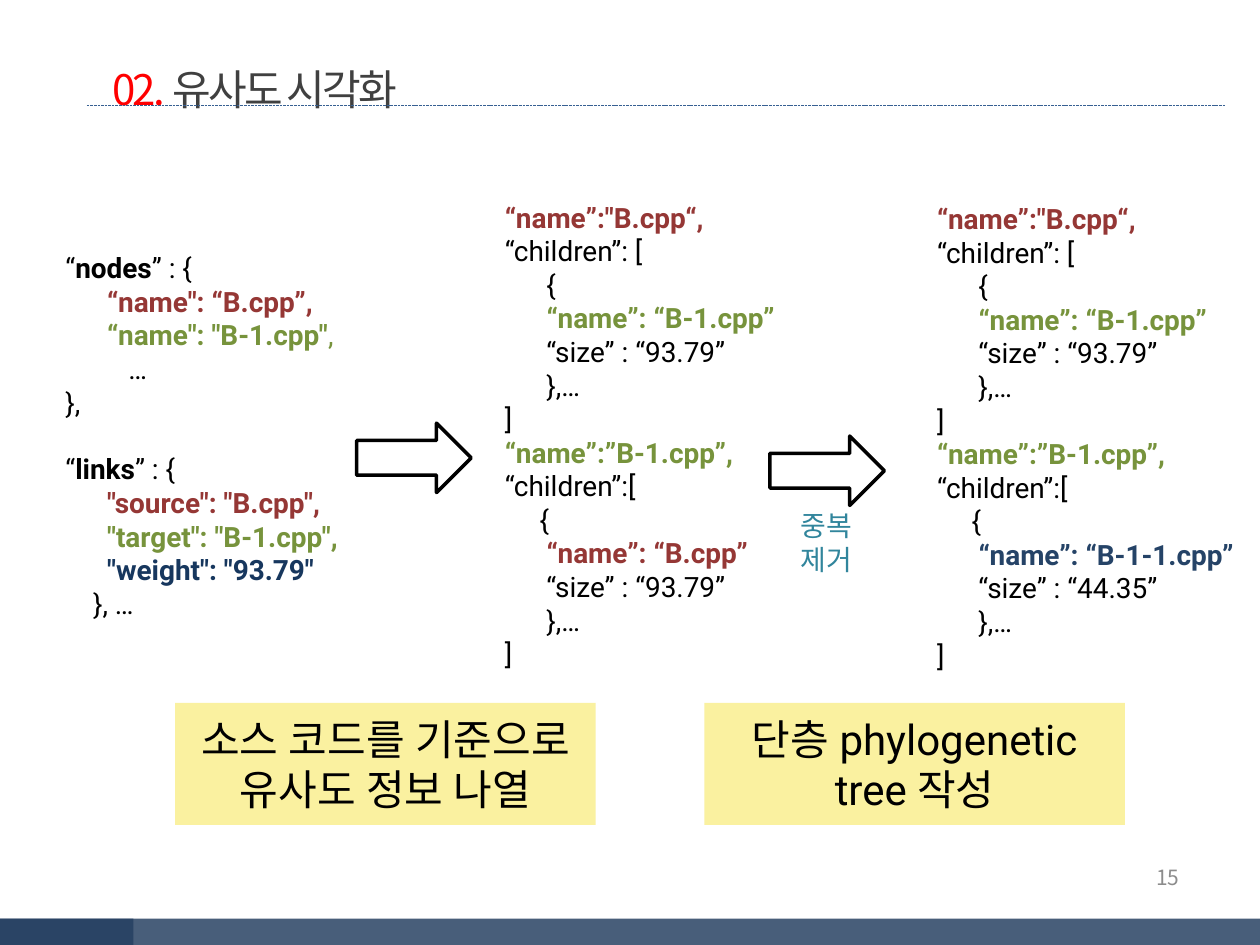
from dataclasses import dataclass

from lxml import etree
from pptx import Presentation
from pptx.dml.color import RGBColor
from pptx.enum import dml, shapes, text
from pptx.oxml import ns
from pptx.util import Cm, Pt

BLACK, RED, GREEN = "000000", "953735", "77933C"
NAVY, NODE_BLUE, TEAL = "17375E", "254367", "31859C"
BAR, YELLOW = "254061", "FAF1A0"
SANS, KOREAN = "Roboto", "Noto Sans CJK KR"


@dataclass(frozen=True)
class Span:
    text: str
    color: str = BLACK
    bold: bool = False


@dataclass(frozen=True)
class Line:
    spans: tuple[Span, ...]
    before: float = 0


@dataclass(frozen=True)
class Area:
    left: float
    top: float
    width: float
    height: float

    def lengths(self) -> tuple[Cm, Cm, Cm, Cm]:
        return Cm(self.left), Cm(self.top), Cm(self.width), Cm(self.height)


def rgb(value: str) -> RGBColor:
    return RGBColor.from_string(value)


def line(content: str, color: str = BLACK, bold: bool = False) -> Line:
    return Line((Span(content, color, bold),))


def write(frame, lines: list[Line], *, size: float = 16, font: str = SANS,
          align=text.PP_ALIGN.LEFT, anchor=text.MSO_ANCHOR.TOP,
          wrap: bool = True, spacing: float = 1, tracking: int = 0) -> None:
    frame.auto_size = text.MSO_AUTO_SIZE.NONE
    frame.word_wrap = wrap
    frame.vertical_anchor = anchor
    for index, item in enumerate(lines):
        paragraph = frame.add_paragraph() if index else frame.paragraphs[0]
        paragraph.alignment = align
        paragraph.line_spacing = spacing
        paragraph.space_before = Pt(item.before)
        for span in item.spans:
            run = paragraph.add_run()
            run.text = span.text
            run.font.name = font
            run.font.size = Pt(size)
            run.font.bold = span.bold
            run.font.color.rgb = rgb(span.color)
            properties = run.font._element
            latin = properties.find(ns.qn("a:latin"))
            east_asian = etree.Element(ns.qn("a:ea"), typeface=font)
            latin.addnext(east_asian)
            if tracking:
                properties.set("spc", str(tracking))


def add_text(slide, area: Area, lines: list[Line], **style) -> None:
    write(slide.shapes.add_textbox(*area.lengths()).text_frame, lines, **style)


def add_block(slide, kind, area: Area, fill: str, alpha: int = 100,
              outline: str | None = None):
    block = slide.shapes.add_shape(kind, *area.lengths())
    block.shadow.inherit = False
    block.fill.solid()
    block.fill.fore_color.rgb = rgb(fill)
    if alpha < 100:
        color = block._element.spPr.find(".//" + ns.qn("a:srgbClr"))
        etree.SubElement(color, ns.qn("a:alpha"), val=str(alpha * 1000))
    if outline:
        block.line.color.rgb = rgb(outline)
        block.line.width = Pt(2)
    else:
        block.line.fill.background()
    return block


def add_caption(slide, area: Area, lines: list[Line]) -> None:
    frame = add_block(slide, shapes.MSO_SHAPE.RECTANGLE, area, YELLOW).text_frame
    frame.margin_left = frame.margin_right = Cm(0.41)
    frame.margin_top = frame.margin_bottom = Cm(0.2)
    write(frame, lines, size=24, align=text.PP_ALIGN.CENTER,
          anchor=text.MSO_ANCHOR.MIDDLE)


def add_rule(slide) -> None:
    rule = slide.shapes.add_connector(
        shapes.MSO_CONNECTOR.STRAIGHT, Cm(1.75), Cm(2.13), Cm(24.69), Cm(2.13))
    rule.line.color.rgb = rgb("376092")
    rule.line.width = Pt(0.5)
    rule.line.dash_style = dml.MSO_LINE.SQUARE_DOT
    etree.SubElement(rule._element.spPr, ns.qn("a:effectLst"))


def tree_node(heading: Line, bracket: str, brace: str, child: str,
              child_color: str, size: str) -> list[Line]:
    return [
        heading,
        line(f"“children”{bracket}"),
        line(brace),
        line(f"      “name”: “{child}”", child_color, True),
        line(f"      “size” : “{size}”"),
        line("      },…"),
        line("]"),
    ]


def tree(child: str, child_color: str, size: str) -> list[Line]:
    return (
        tree_node(line("“name”:\"B.cpp“,", RED, True), ": [", "      {",
                  "B-1.cpp", GREEN, "93.79")
        + tree_node(line("“name”:”B-1.cpp”,", GREEN, True), ":[", "     {",
                    child, child_color, size)
    )


def main() -> None:
    deck = Presentation()
    deck.slide_width, deck.slide_height = Cm(25.4), Cm(19.05)
    slide = deck.slides.add_slide(deck.slide_layouts[5])

    add_rule(slide)
    title = slide.shapes.title
    title.left, title.top, title.width, title.height = Area(2.01, 0.64, 6.68, 1.63).lengths()
    write(title.text_frame,
          [Line((Span("02. ", "FF0000"), Span("유사도 시각화", "404040")))],
          size=24, font=KOREAN, wrap=False, spacing=1.5, tracking=-150)

    for bar_width in (25.4, 2.69):
        add_block(slide, shapes.MSO_SHAPE.RECTANGLE,
                  Area(0, 18.52, bar_width, 0.53), BAR, alpha=84)
    add_text(slide, Area(18.11, 17.17, 5.92, 1.02), [line("15", "8C8C8C")],
             size=12, font=KOREAN, align=text.PP_ALIGN.RIGHT,
             anchor=text.MSO_ANCHOR.MIDDLE)

    graph_data = [
        Line((Span("“"), Span("nodes", bold=True), Span("” : {"))),
        line("      “name\": “B.cpp”,", RED, True),
        Line((Span("      “name\": \"B-1.cpp\"", GREEN, True), Span(",", GREEN))),
        line("\t…"),
        line("},"),
        Line((Span("“"), Span("links", bold=True), Span("” : {")), before=19),
        line("      \"source\": \"B.cpp\",", RED, True),
        line("      \"target\": \"B-1.cpp\",", GREEN, True),
        line("      \"weight\": \"93.79\"", NAVY, True),
        line("    }, …"),
    ]
    add_text(slide, Area(1.07, 4.93, 7.42, 7.77), graph_data)
    add_text(slide, Area(9.93, 3.91, 6.58, 9.83), tree("B.cpp", RED, "93.79"))
    add_text(slide, Area(18.64, 3.94, 6.86, 9.83),
             tree("B-1-1.cpp", NODE_BLUE, "44.35"))

    for arrow_left, arrow_top in ((7.19, 8.53), (15.52, 8.79)):
        add_block(slide, shapes.MSO_SHAPE.RIGHT_ARROW,
                  Area(arrow_left, arrow_top, 2.31, 1.4), "FFFFFF", outline=BLACK)
    add_text(slide, Area(15.24, 10.13, 2.84, 1.6),
             [line("중복", TEAL), line("제거", TEAL)], align=text.PP_ALIGN.CENTER)

    add_caption(slide, Area(3.53, 14.17, 8.48, 2.46),
                [line("소스 코드를 기준으로"), line("유사도 정보 나열")])
    add_caption(slide, Area(14.2, 14.17, 8.48, 2.46),
                [line("단층 phylogenetic tree 작성")])

    deck.save("out.pptx")


if __name__ == "__main__":
    main()
